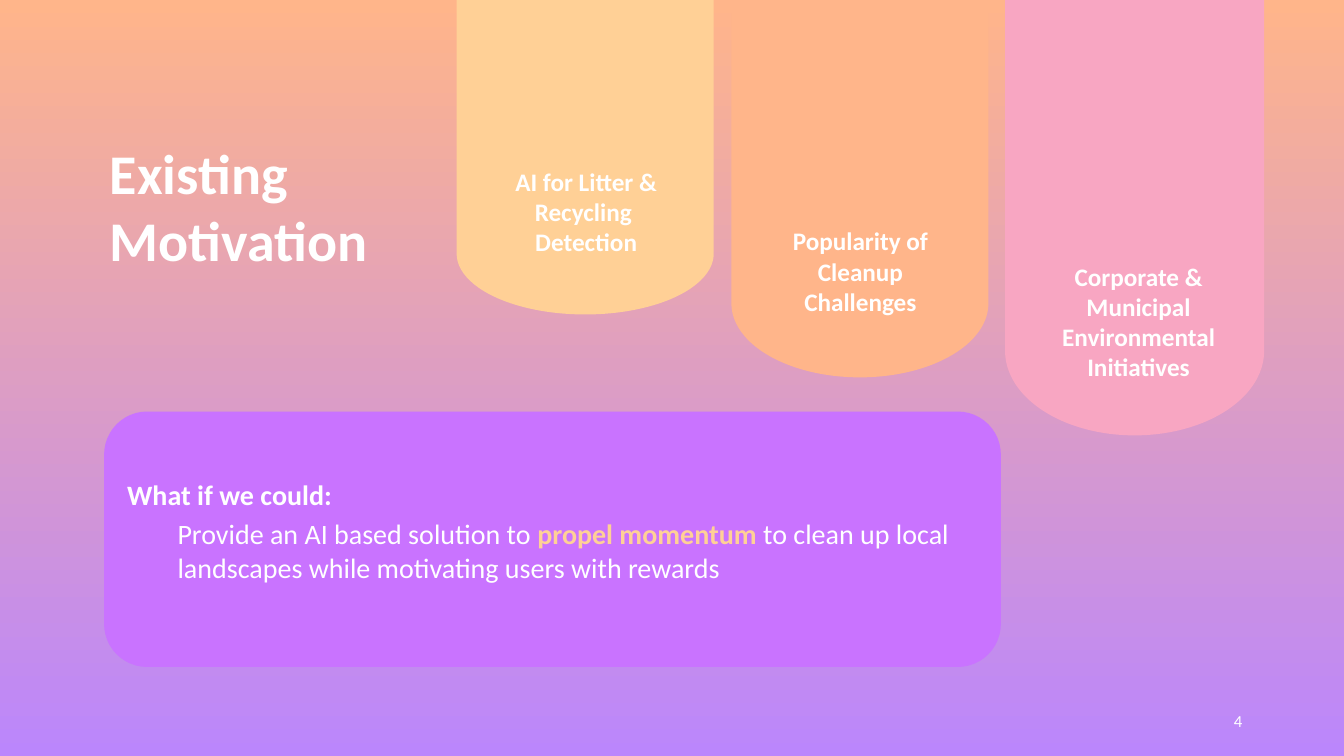
from pptx import Presentation
from pptx.dml.color import RGBColor
from pptx.enum.shapes import MSO_SHAPE
from pptx.enum.text import MSO_ANCHOR, PP_ALIGN
from pptx.util import Inches, Pt

WHITE, SAND, PEACH, ROSE = "FFFFFF", "FFD096", "FFB58A", "F8A6C2"
PURPLE, VIOLET = "C973FF", "BB86FC"


def tint(code):
    return RGBColor.from_string(code)


class Deck:
    font = "Calibri"

    def __init__(self):
        self.file = Presentation()
        self.file.slide_width = Inches(13.33)
        self.file.slide_height = Inches(7.5)
        self.slide = self.file.slides.add_slide(self.file.slide_layouts[5])

    def col(self, count):
        return round(self.file.slide_width * count / 100)

    def row(self, count):
        return round(self.file.slide_height * count / 100)

    def area(self, left, top, wide, high):
        return self.col(left), self.row(top), self.col(wide), self.row(high)

    def back(self, top, base):
        fill = self.slide.background.fill
        fill.gradient()
        fill.gradient_angle = 270
        for stop, code in zip(fill.gradient_stops, (top, base)):
            stop.color.rgb = tint(code)

    def style(self, para, size, bold=False, align=PP_ALIGN.LEFT):
        para.alignment = align
        font = para.font
        font.name, font.size, font.bold = self.font, Pt(size), bold
        font.color.rgb = tint(WHITE)

    def title(self, text, *place):
        shape = self.slide.shapes.title
        shape.left, shape.top, shape.width, shape.height = self.area(*place)
        frame = shape.text_frame
        frame.text = text
        frame.vertical_anchor = MSO_ANCHOR.TOP
        for para in frame.paragraphs:
            self.style(para, 40, True)

    def shape(self, kind, code, *box):
        shape = self.slide.shapes.add_shape(kind, *box)
        shape.shadow.inherit = False
        shape.fill.solid()
        shape.fill.fore_color.rgb = tint(code)
        shape.line.fill.background()
        return shape

    def pill(self, code, mid, base, wide, high):
        span, girth = self.row(high), self.col(wide)
        left = self.col(mid) - span // 2
        top = self.row(base) - (span + girth) // 2
        shape = self.shape(MSO_SHAPE.FLOWCHART_TERMINATOR, code, left, top, span, girth)
        shape.rotation = 90

    def label(self, text, place, size, bold, align, anchor=MSO_ANCHOR.TOP):
        frame = self.slide.shapes.add_textbox(*self.area(*place)).text_frame
        frame.word_wrap = True
        frame.vertical_anchor = anchor
        frame.text = text
        self.style(frame.paragraphs[0], size, bold, align)

    def panel(self, code, place, head, parts):
        shape = self.shape(MSO_SHAPE.ROUNDED_RECTANGLE, code, *self.area(*place))
        shape.line.color.rgb = tint(code)
        shape.line.width = Pt(1)
        frame = shape.text_frame
        frame.word_wrap = True
        frame.vertical_anchor = MSO_ANCHOR.MIDDLE
        frame.margin_bottom = Inches(0.39)
        lead = frame.paragraphs[0]
        lead.text = head
        lead.line_spacing = 1.5
        lead.space_after = Pt(4)
        self.style(lead, 20, True)
        body = frame.add_paragraph()
        body.level = 1
        props = body._p.get_or_add_pPr()
        props.set("marL", str(Inches(0.5)))
        props.set("indent", "0")
        self.style(body, 20)
        for text, accent in parts:
            run = body.add_run()
            run.text = text
            if accent:
                run.font.bold = True
                run.font.color.rgb = tint(accent)


def main():
    deck = Deck()
    deck.back(PEACH, VIOLET)
    deck.title("Existing\nMotivation", 7.43, 17.6, 28.43, 19.33)
    pills = [
        (SAND, 41.6, 19.13, 50, "AI for Litter & Recycling  Detection", (36.6, 21.33, 14.03, 13.47)),
        (PEACH, 49.93, 19.13, 60.8, "Popularity of Cleanup Challenges", (56.18, 29.2, 15.68, 13.47)),
        (ROSE, 57.6, 19.28, 69.47, "Corporate & Municipal Environmental Initiatives", (75.98, 33.87, 17.48, 17.47)),
    ]
    for spot, (code, base, wide, high, text, place) in enumerate(pills):
        deck.pill(code, 43.54 + 20.44 * spot, base, wide, high)
        deck.label(text, place, 18, True, PP_ALIGN.CENTER)
    deck.panel(PURPLE, (7.8, 54.53, 66.62, 33.6), "What if we could:", [
        ("Provide an AI based solution to ", None),
        ("propel momentum", SAND),
        (" to clean up local landscapes while motivating users with rewards", None),
    ])
    deck.label("4", (70.67, 92.67, 22.5, 5.33), 12, False, PP_ALIGN.RIGHT, MSO_ANCHOR.MIDDLE)
    deck.file.save("out.pptx")


if __name__ == "__main__":
    main()
